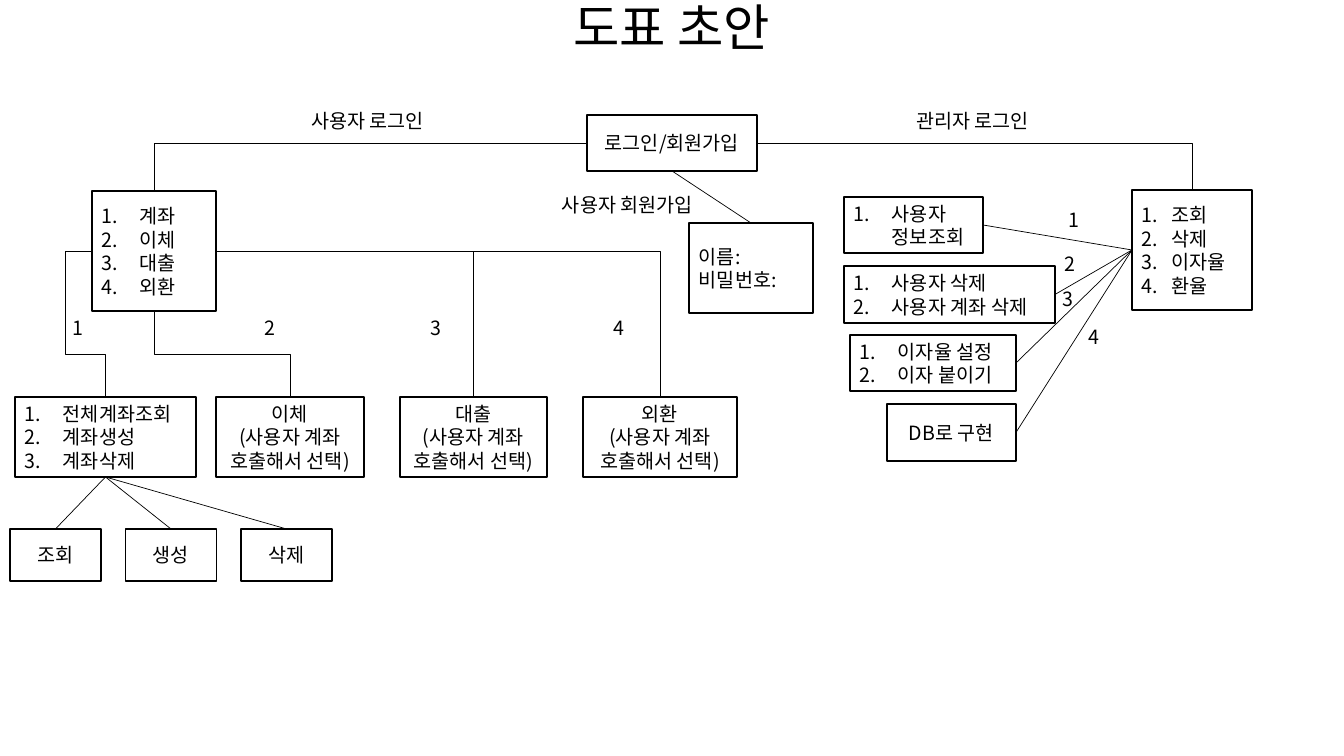
from lxml.etree import SubElement
from pptx import Presentation
from pptx.dml.color import RGBColor
from pptx.enum.shapes import MSO_CONNECTOR, MSO_SHAPE
from pptx.enum.text import MSO_ANCHOR, MSO_AUTO_SIZE, PP_ALIGN
from pptx.oxml.ns import qn
from pptx.util import Pt

SCALE = 12192000 / 1344  # EMU in one pixel
FONT = "Noto Sans CJK KR"
BLACK, WHITE = "000000", "FFFFFF"
TOP, LEFT, BOTTOM, RIGHT = range(4)  # connection sites of a rectangle


def px(length):
    return round(length * SCALE)


def color(value):
    return RGBColor.from_string(value)


def write(shape, text, size=14, align=PP_ALIGN.LEFT, indent=0):
    """Set the text; an indent turns the paragraphs into a numbered list."""
    frame = shape.text_frame
    frame.text = text
    frame.word_wrap = True
    for paragraph in frame.paragraphs:
        paragraph.alignment = align
        for run in paragraph.runs:
            run.font.size = Pt(size)
            run.font.name = FONT
            run.font.color.rgb = color(BLACK)
            properties = run.font._element
            SubElement(properties, qn("a:ea")).set("typeface", FONT)
        if indent:
            properties = paragraph._p.get_or_add_pPr()
            properties.set("marL", str(px(indent)))
            properties.set("indent", str(-px(indent)))
            SubElement(properties, qn("a:buFont")).set("typeface", "+mj-lt")
            SubElement(properties, qn("a:buAutoNum")).set("type", "arabicPeriod")


def add_box(slide, bounds, text, align=PP_ALIGN.CENTER, indent=0):
    shape = slide.shapes.add_shape(MSO_SHAPE.RECTANGLE, *map(px, bounds))
    shape.shadow.inherit = False
    shape.fill.solid()
    shape.fill.fore_color.rgb = color(WHITE)
    shape.line.color.rgb = color(BLACK)
    shape.line.width = Pt(1)
    shape.text_frame.vertical_anchor = MSO_ANCHOR.MIDDLE
    write(shape, text, align=align, indent=indent)
    return shape


def add_list(slide, bounds, text, indent=38):
    return add_box(slide, bounds, text, PP_ALIGN.LEFT, indent)


def add_label(slide, left, top, width, text, align=PP_ALIGN.CENTER):
    label = slide.shapes.add_textbox(px(left), px(top), px(width), px(34))
    write(label, text, align=align)
    label.text_frame.auto_size = MSO_AUTO_SIZE.SHAPE_TO_FIT_TEXT


def connect(slide, start, start_site, end, end_site, kind=MSO_CONNECTOR.STRAIGHT):
    connector = slide.shapes.add_connector(kind, 0, 0, 0, 0)
    connector.begin_connect(start, start_site)
    connector.end_connect(end, end_site)
    connector.line.color.rgb = color(BLACK)
    connector.line.width = Pt(0.5)
    SubElement(connector._element.spPr, qn("a:effectLst"))
    return connector


def connect_bent(slide, start, start_site, end, preset="bentConnector2", adjustments=()):
    """Bent connector that ends at the top of the end box."""
    connector = connect(slide, start, start_site, end, TOP, MSO_CONNECTOR.ELBOW)
    geometry = connector._element.spPr.find(qn("a:prstGeom"))
    geometry.set("prst", preset)
    guides = geometry.find(qn("a:avLst"))
    for number, value in enumerate(adjustments, 1):
        guide = SubElement(guides, qn("a:gd"))
        guide.set("name", f"adj{number}")
        guide.set("fmla", f"val {value}")
    if start_site == BOTTOM:
        # A downward start is a sideways connector, turned and mirrored
        center_x = connector.left + connector.width // 2
        center_y = connector.top + connector.height // 2
        width, height = connector.height, connector.width
        connector.left, connector.top = center_x - width // 2, center_y - height // 2
        connector.width, connector.height = width, height
        transform = connector._element.spPr.find(qn("a:xfrm"))
        transform.set("rot", "16200000")
        transform.set("flipH", "1")


def add_login(slide):
    login = add_box(slide, (587, 115, 170, 56), "로그인/회원가입")
    signup = add_box(slide, (689, 223, 124, 90), "이름:\n비밀번호:", PP_ALIGN.LEFT)
    connect(slide, login, BOTTOM, signup, TOP)
    add_label(slide, 290, 104, 155, "사용자 로그인")
    add_label(slide, 898, 104, 149, "관리자 로그인")
    add_label(slide, 544, 188, 167, "사용자 회원가입")
    return login


def add_user_side(slide, login):
    menu = add_list(slide, (92, 191, 124, 120), "계좌\n이체\n대출\n외환")
    connect_bent(slide, login, LEFT, menu)

    # Pages behind the user menu
    accounts = add_list(slide, (15, 397, 181, 80), "전체계좌조회\n계좌생성\n계좌삭제")
    transfer, loan, exchange = [
        add_box(slide, (left, 397, width, 80), f"{name}\n(사용자 계좌 호출해서 선택)")
        for name, left, width in (("이체", 216, 148), ("대출", 400, 147), ("외환", 583, 154))
    ]
    connect_bent(slide, menu, LEFT, accounts, "bentConnector4", (-195800, 70600))
    connect_bent(slide, menu, BOTTOM, transfer, "bentConnector3", (50000,))
    connect_bent(slide, menu, RIGHT, loan)
    connect_bent(slide, menu, RIGHT, exchange)
    for number, left in enumerate((63, 255, 421, 604), 1):
        add_label(slide, left, 311, 35, str(number), PP_ALIGN.LEFT)

    # Account actions
    for column, name in enumerate(("조회", "생성", "삭제")):
        action = add_box(slide, (10 + 115.5 * column, 529, 91, 52), name)
        connect(slide, accounts, BOTTOM, action, TOP)


def add_admin_side(slide, login):
    menu = add_list(slide, (1132, 190, 120, 120), "조회\n삭제\n이자율\n환율", indent=30)
    connect_bent(slide, login, RIGHT, menu)

    # Pages behind the admin menu
    pages = [
        add_list(slide, (844, 197, 139, 56), "사용자 \v정보조회"),
        add_list(slide, (844, 266, 211, 57), "사용자 삭제\n사용자 계좌 삭제"),
        add_list(slide, (850, 335, 166, 56), "이자율 설정\n이자 붙이기"),
        add_box(slide, (887, 404, 129, 57), "DB로 구현"),
    ]
    for page in pages:
        connect(slide, page, RIGHT, menu, LEFT)
    positions = ((1059, 203), (1055, 247), (1053, 282), (1079, 320))
    for number, (left, top) in enumerate(positions, 1):
        add_label(slide, left, top, 35, str(number), PP_ALIGN.LEFT)


def main():
    presentation = Presentation()
    presentation.slide_width, presentation.slide_height = px(1344), px(756)
    slide = presentation.slides.add_slide(presentation.slide_layouts[5])

    # Title
    title = slide.shapes.title
    title.left, title.top, title.width, title.height = map(px, (92, -2, 1160, 65))
    write(title, "도표 초안", size=36, align=PP_ALIGN.CENTER)
    title.text_frame.vertical_anchor = MSO_ANCHOR.MIDDLE
    title.text_frame.paragraphs[0].line_spacing = 0.9

    # Chart
    login = add_login(slide)
    add_user_side(slide, login)
    add_admin_side(slide, login)
    presentation.save("out.pptx")


main()
